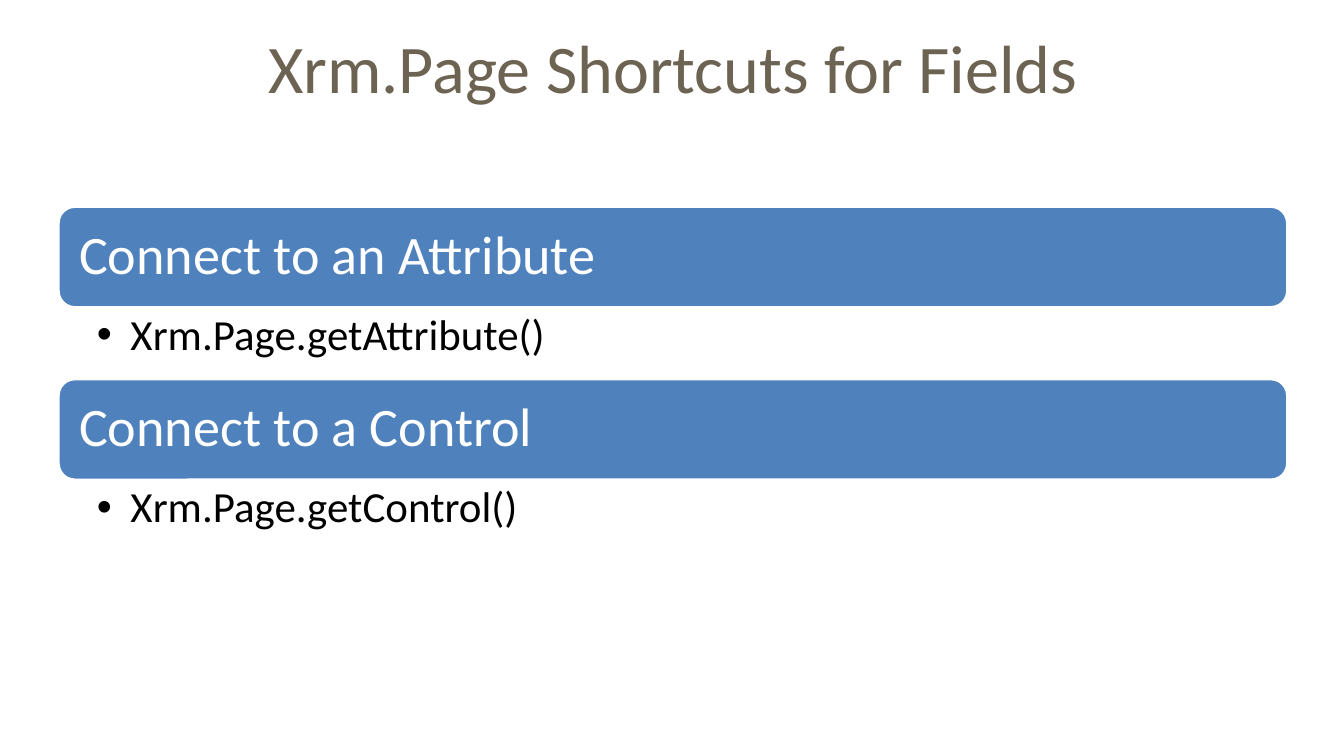
from pptx import Presentation
from pptx.dml.color import RGBColor
from pptx.enum.shapes import MSO_SHAPE
from pptx.enum.text import MSO_ANCHOR, MSO_AUTO_SIZE, PP_ALIGN
from pptx.util import Pt

ROUNDED = MSO_SHAPE.ROUNDED_RECTANGLE
MIDDLE, TOP = MSO_ANCHOR.MIDDLE, MSO_ANCHOR.TOP
LEFT, CENTER = PP_ALIGN.LEFT, PP_ALIGN.CENTER
NO_FIT = MSO_AUTO_SIZE.NONE

COLORS = {"title": "6C6352", "bar": "4F81BD", "white": "FFFFFF", "text": "000000"}
X, W = 31, 659
BAR_TOP, BAR_H, LIST_H = 110.4, 54.6, 37.8
SECTIONS = [
    ("Connect to an Attribute", "Xrm.Page.getAttribute()"),
    ("Connect to a Control", "Xrm.Page.getControl()"),
]


def place(sp, top, height):
    sp.left, sp.top, sp.width, sp.height = Pt(X), Pt(top), Pt(W), Pt(height)


def write(sp, text, size, color, align, anchor, insets):
    tf = sp.text_frame
    tf.word_wrap = True
    tf.auto_size = NO_FIT
    tf.vertical_anchor = anchor
    tf.margin_left, tf.margin_top, tf.margin_right, tf.margin_bottom = map(Pt, insets)
    p = tf.paragraphs[0]
    p.text = text
    p.alignment = align
    p.space_before = Pt(0)
    p.font.name = "Calibri"
    p.font.size = Pt(size)
    p.font.color.rgb = RGBColor.from_string(COLORS[color])
    return p


prs = Presentation()
prs.slide_width, prs.slide_height = Pt(720), Pt(405)
s = prs.slides.add_slide(prs.slide_layouts.get_by_name("Two Content"))

# Title
title = s.shapes.title
place(title, 13.7, 43.9)
write(title, "Xrm.Page Shortcuts for Fields", 36.5, "title", CENTER, MIDDLE, (7.2, 3.6, 7.2, 3.6))

# Sections: heading bar with a bulleted list below
for i, (heading, call) in enumerate(SECTIONS):
    top = BAR_TOP + i * (BAR_H + LIST_H)

    bar = s.shapes.add_shape(ROUNDED, 0, 0, 0, 0)
    place(bar, top, BAR_H)
    bar.shadow.inherit = False
    bar.fill.solid()
    bar.fill.fore_color.rgb = RGBColor.from_string(COLORS["bar"])
    bar.line.color.rgb = RGBColor.from_string(COLORS["white"])
    bar.line.width = Pt(2)
    p = write(bar, heading, 29, "white", LEFT, MIDDLE, (8.7, 8.7, 8.7, 8.7))
    p.line_spacing = 0.9

    body = s.placeholders[i + 1]
    place(body, top + BAR_H, LIST_H)
    p = write(body, call, 23, "text", LEFT, TOP, (20.9, 2.9, 16.4, 2.9))
    p.line_spacing = 0.9
    pPr = p._p.get_or_add_pPr()
    pPr.set("marL", str(Pt(18)))
    pPr.set("indent", str(Pt(-18)))

prs.save("out.pptx")
